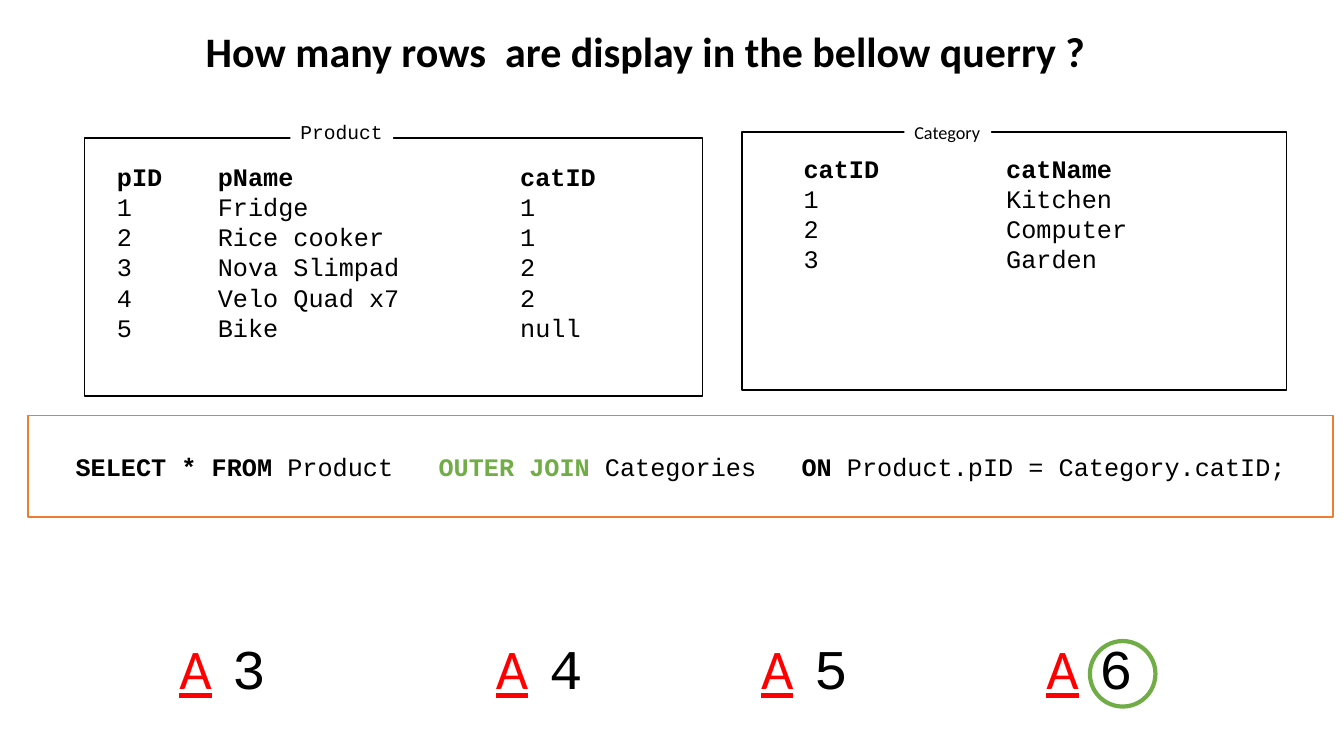
from dataclasses import dataclass

from lxml import etree
from pptx import Presentation
from pptx.dml.color import RGBColor
from pptx.enum.shapes import MSO_SHAPE
from pptx.enum.text import MSO_ANCHOR, MSO_AUTO_SIZE, PP_ALIGN
from pptx.oxml.ns import qn
from pptx.util import Inches, Pt

RECT, OVAL = MSO_SHAPE.RECTANGLE, MSO_SHAPE.OVAL
TOP, MIDDLE = MSO_ANCHOR.TOP, MSO_ANCHOR.MIDDLE
LEFT = PP_ALIGN.LEFT
NO_FIT = MSO_AUTO_SIZE.NONE


@dataclass(frozen=True)
class Theme:
    """Fonts, colours and type sizes of the quiz slide."""
    sans: str = "Calibri"
    mono: str = "Courier New"
    ink: str = "000000"
    paper: str = "FFFFFF"
    accent: str = "70AD47"
    letter: str = "FF0000"
    border: str = "ED7D31"
    title: int = 30
    body: int = 18
    answer: int = 40


T = Theme()


def add_run(p, text, font, size, color=T.ink, bold=False, underline=False):
    """Append one formatted run to a paragraph."""
    r = p.add_run()
    r.text = text
    f = r.font
    f.name, f.size, f.bold, f.underline = font, Pt(size), bold, underline
    f.color.rgb = RGBColor.from_string(color)


def add_box(s, kind, x, y, w, h, fill=None, line=None, weight=1):
    """Add a flat shape and return it with left-aligned text."""
    sp = s.shapes.add_shape(kind, Inches(x), Inches(y), Inches(w), Inches(h))
    sp.shadow.inherit = False
    if fill:
        sp.fill.solid()
        sp.fill.fore_color.rgb = RGBColor.from_string(fill)
    else:
        sp.fill.background()
    if line:
        sp.line.color.rgb = RGBColor.from_string(line)
        sp.line.width = Pt(weight)
    else:
        sp.line.fill.background()
    sp.text_frame.paragraphs[0].alignment = LEFT
    return sp


def add_title(s, text, x, y, w, h):
    """Place the question in the title placeholder."""
    sp = s.shapes.title
    sp.left, sp.top, sp.width, sp.height = map(Inches, (x, y, w, h))
    tf = sp.text_frame
    tf.word_wrap, tf.auto_size, tf.vertical_anchor = False, NO_FIT, TOP
    p = tf.paragraphs[0]
    p.alignment, p.line_spacing = LEFT, 1.0
    add_run(p, text, T.sans, T.title, bold=True)


def add_relation(s, x, y, w, h, caption, caption_box, font, size, grid, widths, rows):
    """Draw a captioned frame holding a table; offsets are from the frame."""
    add_box(s, RECT, x, y, w, h, line=T.ink)
    dx, dy, cw, ch = caption_box
    tf = add_box(s, RECT, x + dx, y + dy, cw, ch, fill=T.paper).text_frame
    tf.word_wrap = False
    add_run(tf.paragraphs[0], caption, font, size)

    gx, gy = grid
    row_h = 0.3
    table = s.shapes.add_table(
        len(rows), len(widths), Inches(x + gx), Inches(y + gy),
        Inches(sum(widths)), Inches(row_h * len(rows))).table
    table.first_row = table.horz_banding = False
    for col, width in zip(table.columns, widths):
        col.width = Inches(width)
    for i, row in enumerate(rows):
        table.rows[i].height = Inches(row_h)
        for j, value in enumerate(row):
            c = table.cell(i, j)
            c.fill.background()
            c.margin_left = c.margin_right = c.margin_top = c.margin_bottom = 0
            c.vertical_anchor = MIDDLE
            add_run(c.text_frame.paragraphs[0], value, T.mono, T.body, bold=i == 0)


def add_query(s, x, y, w, h, runs, indent, tabs):
    """Draw the framed SQL statement, its clauses set on tab stops."""
    tf = add_box(s, RECT, x, y, w, h, fill=T.paper, line=T.border).text_frame
    tf.margin_left, tf.margin_right = Inches(indent), 0
    tf.vertical_anchor = MIDDLE
    p = tf.paragraphs[0]
    stops = etree.SubElement(p._p.get_or_add_pPr(), qn("a:tabLst"))
    for pos in tabs:
        etree.SubElement(stops, qn("a:tab"), pos=str(Inches(pos)), algn="l")
    for text, color, bold in runs:
        add_run(p, text, T.mono, T.body, color, bold)


def add_answer(s, x, y, value, correct=False):
    """Place an answer letter and its value, ringed when correct."""
    gap, h = 0.53, 0.77
    parts = [("A", x, T.sans, T.letter, True), (value, x + gap, T.mono, T.ink, False)]
    for text, left, font, color, underline in parts:
        tf = s.shapes.add_textbox(Inches(left), Inches(y), Inches(gap), Inches(h)).text_frame
        tf.word_wrap = False
        add_run(tf.paragraphs[0], text, font, T.answer, color, underline=underline)
    if correct:
        add_box(s, OVAL, x + gap, y + 0.12, 0.65, 0.65, line=T.accent, weight=3)


def build_quiz(prs):
    """Compose the SQL join question slide."""
    s = prs.slides.add_slide(prs.slide_layouts[5])
    add_title(s, "How many rows  are display in the bellow querry ?", 1.94, 0.2, 9.01, 0.61)
    add_relation(
        s, 0.84, 1.37, 6.13, 2.56, "Product", (2.04, -0.23, 1.02, 0.34), T.mono, 14,
        (0.32, 0.26), (1, 3, 1.4),
        [("pID", "pName", "catID"),
         ("1", "Fridge", "1"),
         ("2", "Rice cooker", "1"),
         ("3", "Nova Slimpad", "2"),
         ("4", "Velo Quad x7", "2"),
         ("5", "Bike", "null")])
    add_relation(
        s, 7.36, 1.31, 5.4, 2.56, "Category", (1.61, -0.16, 0.86, 0.32), T.sans, 13,
        (0.61, 0.24), (2.01, 1.6),
        [("catID", "catName"), ("1", "Kitchen"), ("2", "Computer"), ("3", "Garden")])
    add_query(
        s, 0.28, 4.12, 12.94, 1.01,
        [("SELECT * FROM", T.ink, True),
         (" Product\t", T.ink, False),
         ("OUTER JOIN ", T.accent, True),
         ("Categories\t", T.ink, False),
         ("ON ", T.ink, True),
         ("Product.pID = Category.catID;", T.ink, False)],
        0.47, (3.6, 7.2))
    for x, value in zip((1.68, 4.82, 7.45, 10.28), "3456"):
        add_answer(s, x, 6.24, value, correct=value == "6")


def main():
    """Create the deck and save it."""
    prs = Presentation()
    prs.slide_width, prs.slide_height = Inches(13.33), Inches(7.5)
    build_quiz(prs)
    prs.save("out.pptx")


if __name__ == "__main__":
    main()
